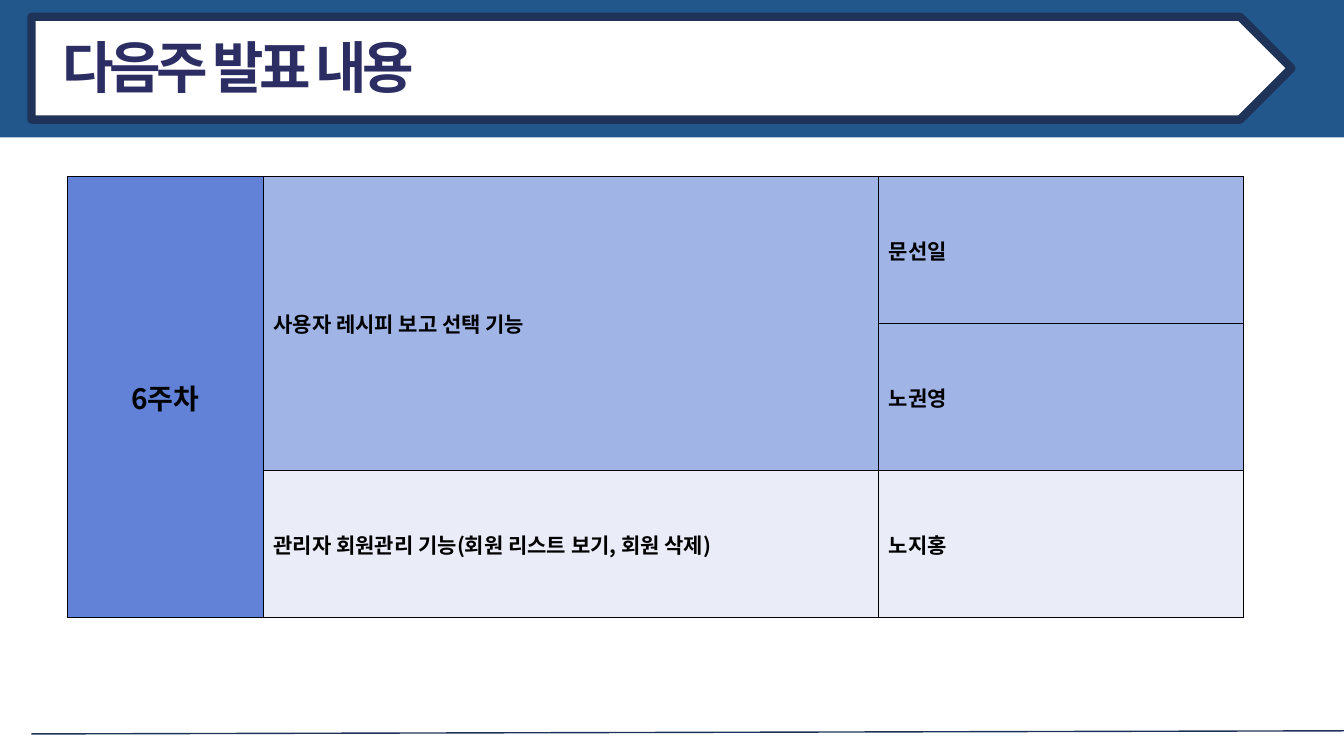
import pptx
import pptx.dml.color
import pptx.enum.shapes
import pptx.enum.text
import pptx.oxml
import pptx.oxml.ns
import pptx.util
from lxml import etree

PX = 9525
FONT = "Noto Sans CJK KR"
COLORS = {
    "band": "22578B",
    "navy": "1F3359",
    "title": "2B2D63",
    "white": "FFFFFF",
    "black": "000000",
    "week": "6182D6",
    "user": "A0B4E6",
    "admin": "EAEDF7",
}
COLUMN_WIDTHS = [187, 586, 347]
ROW_HEIGHT = 140
CELLS = [
    (0, 0, 2, "6주차", "week", 20),
    (0, 1, 1, "사용자 레시피 보고 선택 기능", "user", 15),
    (0, 2, 0, "문선일", "user", 15),
    (1, 2, 1, "노권영", "user", 15),
    (2, 1, 2, "관리자 회원관리 기능(회원 리스트 보기, 회원 삭제)", "admin", 15),
    (2, 2, 2, "노지홍", "admin", 15),
]


def px(*lengths):
    return [pptx.util.Emu(n * PX) for n in lengths]


def rgb(name):
    return pptx.dml.color.RGBColor.from_string(COLORS[name])


def add_child(parent, tag, **attributes):
    return etree.SubElement(parent, pptx.oxml.ns.qn(tag), **attributes)


def fill_solid(target, color):
    target.fill.solid()
    target.fill.fore_color.rgb = rgb(color)


def format_run(r, size, color):
    r.font.size = pptx.util.Pt(size)
    r.font.bold = True
    r.font.name = FONT
    r.font.color.rgb = rgb(color)
    add_child(r.font._element, "a:ea", typeface=FONT)


def add_block(s, kind, box, fill, line=None, width=0):
    sp = s.shapes.add_shape(kind, *px(*box))
    sp.shadow.inherit = False
    fill_solid(sp, fill)
    if line:
        sp.line.color.rgb = rgb(line)
        sp.line.width = pptx.util.Pt(width)
        add_child(sp.line._get_or_add_ln(), "a:round")
    else:
        sp.line.fill.background()


def add_title(s, text, box):
    sp = s.shapes.add_textbox(*px(*box))
    tf = sp.text_frame
    tf.text = text
    tf.word_wrap = False
    tf.auto_size = pptx.enum.text.MSO_AUTO_SIZE.SHAPE_TO_FIT_TEXT
    r = tf.paragraphs[0].runs[0]
    format_run(r, 40, "title")
    r.font._element.set("spc", "-300")


def add_rule(s, ends):
    straight = pptx.enum.shapes.MSO_CONNECTOR.STRAIGHT
    sp = s.shapes.add_connector(straight, *px(*ends))
    sp.line.color.rgb = rgb("navy")
    sp.line.width = pptx.util.Pt(1)
    add_child(sp._element.spPr, "a:effectLst")


def add_borders(cell):
    tc_pr = cell._tc.get_or_add_tcPr()
    for index, side in enumerate(["a:lnL", "a:lnR", "a:lnT", "a:lnB"]):
        ln = pptx.oxml.parse_xml(
            f'<{side} {pptx.oxml.ns.nsdecls("a")} w="12700"><a:solidFill>'
            f'<a:srgbClr val="{COLORS["black"]}"/></a:solidFill></{side}>'
        )
        tc_pr.insert(index, ln)


def add_schedule(s, left, top):
    rows, columns = 3, len(COLUMN_WIDTHS)
    box = px(left, top, sum(COLUMN_WIDTHS), ROW_HEIGHT * rows)
    table = s.shapes.add_table(rows, columns, *box).table
    for column, width in zip(table.columns, px(*COLUMN_WIDTHS)):
        column.width = width
    for cell in table.iter_cells():
        add_borders(cell)
    for row, column, last_row, text, fill, size in CELLS:
        cell = table.cell(row, column)
        if last_row > row:
            cell.merge(table.cell(last_row, column))
        for covered in range(row, last_row + 1):
            fill_solid(table.cell(covered, column), fill)
        cell.vertical_anchor = pptx.enum.text.MSO_ANCHOR.MIDDLE
        cell.text_frame.text = text
        p = cell.text_frame.paragraphs[0]
        if column == 0:
            p.alignment = pptx.enum.text.PP_ALIGN.CENTER
        format_run(p.runs[0], size, "black")


def main():
    prs = pptx.Presentation()
    prs.slide_width, prs.slide_height = px(1280, 720)
    s = prs.slides.add_slide(prs.slide_layouts[6])
    shapes = pptx.enum.shapes.MSO_SHAPE
    add_block(s, shapes.RECTANGLE, (0, 0, 1280, 131), "band")
    add_block(s, shapes.PENTAGON, (30, 16, 1200, 98), "white", "navy", 6)
    add_title(s, "다음주 발표 내용", (50, 26, 378, 73))
    add_rule(s, (30, 699, 1280, 696))
    add_schedule(s, 64, 168)
    prs.save("out.pptx")


if __name__ == "__main__":
    main()
